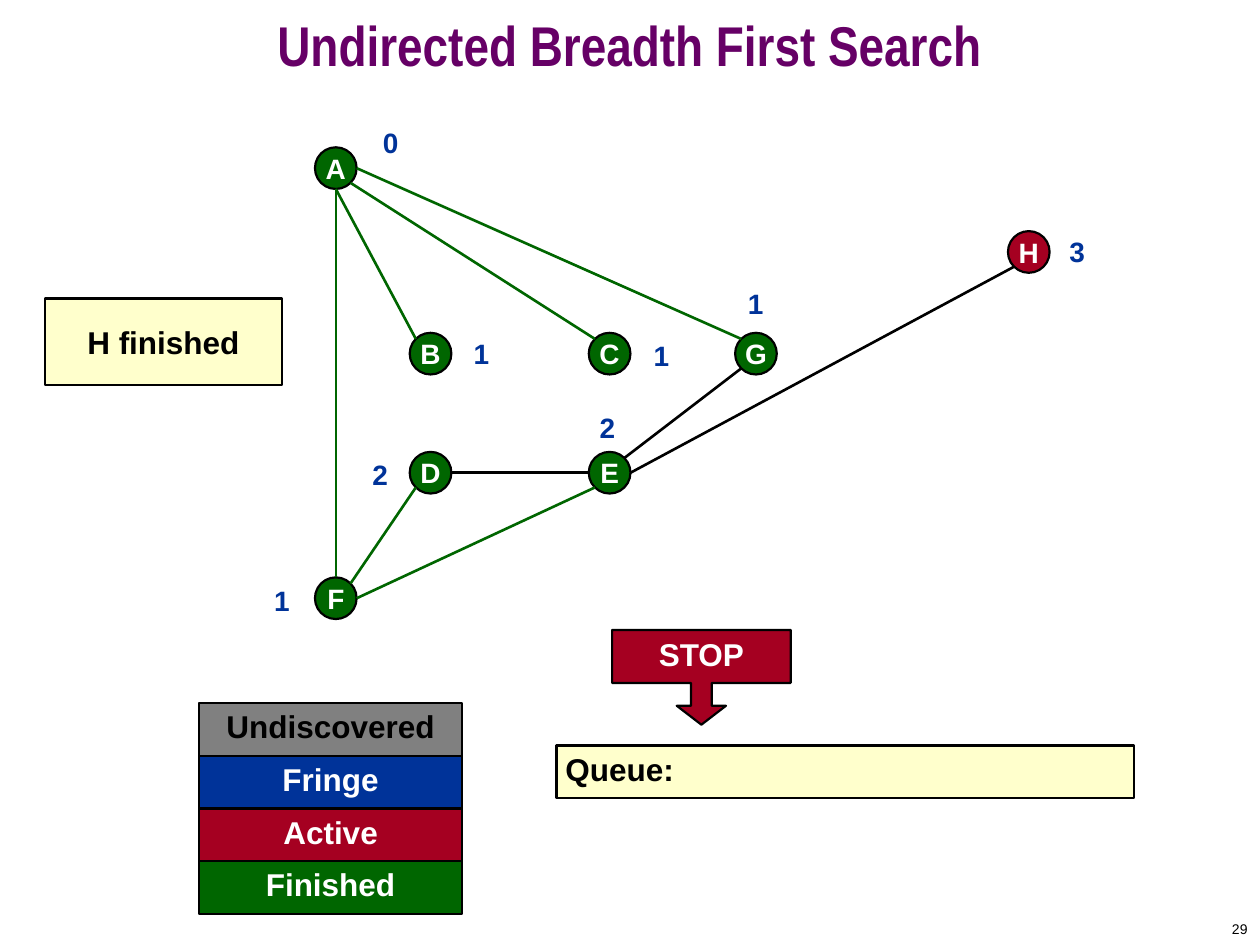
import math

import lxml.etree
import pptx
import pptx.dml.color
import pptx.enum.shapes
import pptx.enum.text
import pptx.oxml.ns
import pptx.util

Cm = pptx.util.Cm
Pt = pptx.util.Pt
RGBColor = pptx.dml.color.RGBColor
SHAPE = pptx.enum.shapes.MSO_SHAPE
ALIGN = pptx.enum.text.PP_ALIGN
ANCHOR = pptx.enum.text.MSO_ANCHOR

BLACK = RGBColor(0x00, 0x00, 0x00)
WHITE = RGBColor(0xFF, 0xFF, 0xFF)
PURPLE = RGBColor(0x66, 0x00, 0x66)
GREY = RGBColor(0x80, 0x80, 0x80)
BLUE = RGBColor(0x00, 0x33, 0x99)
RED = RGBColor(0xA5, 0x00, 0x21)
GREEN = RGBColor(0x00, 0x66, 0x00)
CREAM = RGBColor(0xFF, 0xFF, 0xCC)


def write_text(shape, text, size, color, bold=True, align=ALIGN.CENTER,
               anchor=ANCHOR.MIDDLE, font="Arial", insets=(0, 0, 0, 0), wrap=True):
    """Fill a shape with one formatted paragraph; insets are left, top, right, bottom in cm."""
    frame = shape.text_frame
    frame.text = text
    frame.word_wrap = wrap
    frame.vertical_anchor = anchor
    frame.margin_left, frame.margin_top, frame.margin_right, frame.margin_bottom = map(Cm, insets)
    paragraph = frame.paragraphs[0]
    paragraph.alignment = align
    run_font = paragraph.runs[0].font
    run_font.name = font
    run_font.size = Pt(size)
    run_font.bold = bold
    run_font.color.rgb = color
    return paragraph


def add_filled_shape(kind, left, top, width, height, fill):
    """Add a black-outlined preset shape; lengths in cm."""
    shape = slide.shapes.add_shape(kind, Cm(left), Cm(top), Cm(width), Cm(height))
    shape.shadow.inherit = False
    shape.fill.solid()
    shape.fill.fore_color.rgb = fill
    shape.line.color.rgb = BLACK
    shape.line.width = Pt(1.25)
    return shape


presentation = pptx.Presentation()
presentation.slide_width = Cm(25.4)
presentation.slide_height = Cm(19.05)
slide = presentation.slides.add_slide(presentation.slide_layouts[6])

# Title and page number
title = slide.shapes.add_textbox(0, 0, Cm(25.4), Cm(2.12))
title_paragraph = write_text(title, "Undirected Breadth First Search", 32, PURPLE,
                             font="Arial Narrow", insets=(0.25, 0.13, 0.25, 0.13))
title_paragraph.line_spacing = 0.7
page_number = slide.shapes.add_textbox(Cm(20.12), Cm(18.42), Cm(5.28), Cm(0.63))
write_text(page_number, "29", 8, BLACK, bold=False, align=ALIGN.RIGHT,
           insets=(0.25, 0.13, 0.25, 0.13))

# Graph nodes: centre, fill, distance and top left corner of the distance label
RADIUS = 0.42
nodes = {
    "A": ((6.77, 3.39), GREEN, "0", (7.47, 2.54)),
    "B": ((8.68, 7.13), GREEN, "1", (9.3, 6.78)),
    "C": ((12.29, 7.13), GREEN, "1", (12.93, 6.83)),
    "G": ((15.24, 7.13), GREEN, "1", (14.83, 5.77)),
    "D": ((8.68, 9.53), GREEN, "2", (7.26, 9.22)),
    "E": ((12.29, 9.53), GREEN, "2", (11.84, 8.28)),
    "F": ((6.77, 12.06), GREEN, "1", (5.28, 11.76)),
    "H": ((20.74, 5.08), RED, "3", (21.31, 4.72)),
}
for name, ((x, y), fill, distance, (label_left, label_top)) in nodes.items():
    node = add_filled_shape(SHAPE.OVAL, x - RADIUS, y - RADIUS, 2 * RADIUS, 2 * RADIUS, fill)
    write_text(node, name, 16, WHITE, wrap=False)
    label = slide.shapes.add_textbox(Cm(label_left), Cm(label_top), Cm(0.81), Cm(0.69))
    write_text(label, distance, 16, BLUE, anchor=ANCHOR.TOP)

# Graph edges: each end is a node and the compass angle where the edge meets it
# (0 right, 90 bottom, 180 left, 270 top)
edges = [
    ("F", 270, "A", 90, GREEN),
    ("A", 45, "C", 225, GREEN),
    ("A", 0, "G", 225, GREEN),
    ("A", 90, "B", 225, GREEN),
    ("E", 180, "D", 0, BLACK),
    ("E", 135, "F", 0, GREEN),
    ("F", 315, "D", 135, GREEN),
    ("E", 315, "G", 135, BLACK),
    ("E", 0, "H", 135, BLACK),
]
for start, start_angle, end, end_angle, color in edges:
    points = []
    for name, angle in ((start, start_angle), (end, end_angle)):
        x, y = nodes[name][0]
        points.append(Cm(x + RADIUS * math.cos(math.radians(angle))))
        points.append(Cm(y + RADIUS * math.sin(math.radians(angle))))
    edge = slide.shapes.add_connector(pptx.enum.shapes.MSO_CONNECTOR.STRAIGHT, *points)
    edge.line.color.rgb = color
    edge.line.width = Pt(1.5)
    lxml.etree.SubElement(edge._element.spPr, pptx.oxml.ns.qn("a:effectLst"))

# Legend of node states
legend = [
    ("Undiscovered", GREY, BLACK),
    ("Fringe", BLUE, WHITE),
    ("Active", RED, WHITE),
    ("Finished", GREEN, WHITE),
]
ROW_HEIGHT = 1.06
for row, (state, fill, color) in enumerate(legend):
    box = add_filled_shape(SHAPE.RECTANGLE, 4.02, 14.18 + row * ROW_HEIGHT, 5.29, ROW_HEIGHT, fill)
    write_text(box, state, 18, color, anchor=ANCHOR.TOP, insets=(0, 0.08, 0, 0))

# Queue with the stop callout above it
queue = add_filled_shape(SHAPE.RECTANGLE, 11.22, 15.03, 11.64, ROW_HEIGHT, CREAM)
write_text(queue, "Queue:", 18, BLACK, align=ALIGN.LEFT, anchor=ANCHOR.TOP,
           insets=(0.18, 0.08, 0, 0))
stop = add_filled_shape(SHAPE.DOWN_ARROW_CALLOUT, 12.34, 12.7, 3.6, 1.91, RED)
for index, value in enumerate((0.22, 0.26, 0.2, 0.56)):
    stop.adjustments[index] = value
write_text(stop, "STOP", 18, WHITE, insets=(0.25, 0.13, 0.25, 0.25), wrap=False)

# Current step
step = add_filled_shape(SHAPE.RECTANGLE, 0.91, 6.02, 4.77, 1.75, CREAM)
write_text(step, "H finished", 18, BLACK, insets=(0.25, 0.13, 0.25, 0.13), wrap=False)

presentation.save("out.pptx")
